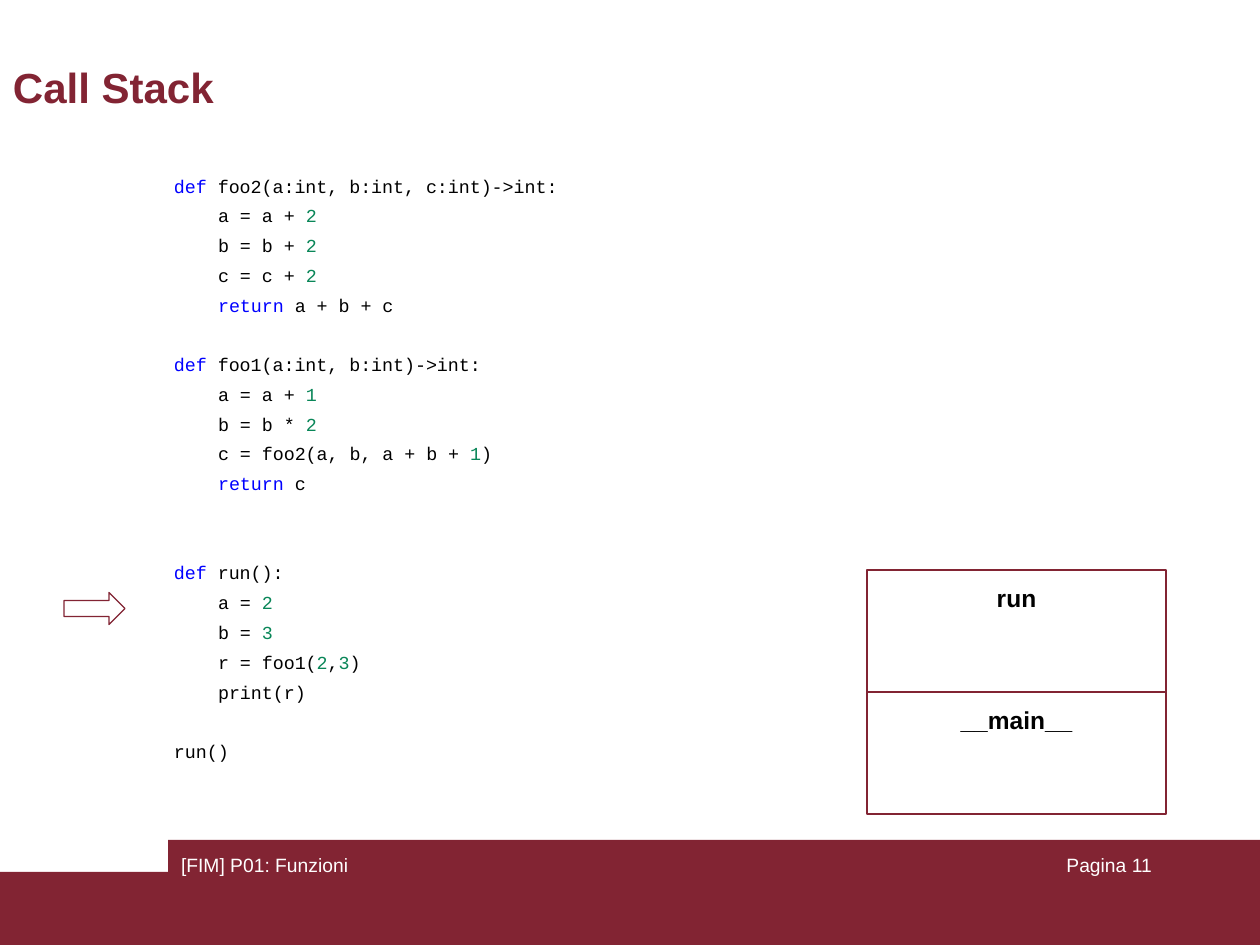
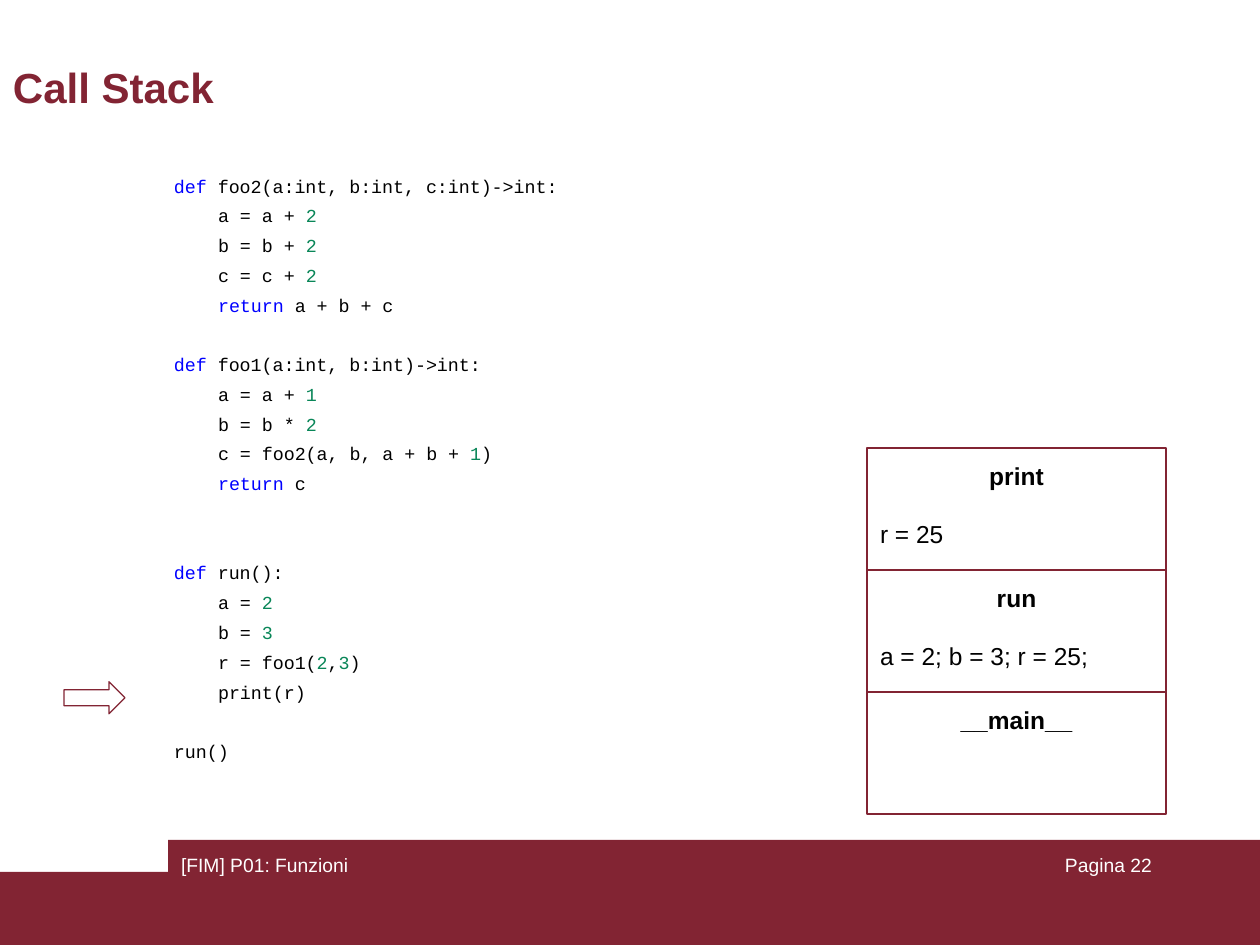
from pptx import Presentation
from pptx.dml.color import RGBColor
from pptx.enum.shapes import MSO_SHAPE
from pptx.enum.text import MSO_ANCHOR, PP_ALIGN
from pptx.util import Pt

TITLE = "Call Stack"
FOOTER = "[FIM] P01: Funzioni"
CODE = [
    "def| foo2(a:int, b:int, c:int)->int:",
    "    a = a + |2",
    "    b = b + |2",
    "    c = c + |2",
    "    return| a + b + c",
    "",
    "def| foo1(a:int, b:int)->int:",
    "    a = a + |1",
    "    b = b * |2",
    "    c = foo2(a, b, a + b + |1|)",
    "    return| c",
    "",
    "",
    "def| run():",
    "    a = |2",
    "    b = |3",
    "    r = foo1(|2|,|3|)",
    "    print(r)",
    "",
    "run()",
]
STEPS = [
    {"page": 11, "line": 14, "stack": [("__main__", ""), ("run", "")]},
    {"page": 22, "line": 17, "stack": [
        ("__main__", ""), ("run", "a = 2; b = 3; r = 25;"), ("print", "r = 25")]},
]

MAROON, WHITE, BLACK = "822433", "FFFFFF", "000000"
KEYWORD, NUMBER = "0000FF", "098658"
BANDS = [(0, 872, 1260, 73), (168, 840, 1092, 105)]
CODE_SIZE = 10.5
CODE_PITCH = Pt(17)
CODE_CHAR = Pt(CODE_SIZE * 0.6)
FRAME_LEFT, STACK_BOTTOM, FRAME_WIDTH, FRAME_HEIGHT = 867, 814, 299, 122
PADDING, TIGHT_PADDING = 13, 6


def px(length):
    return round(length * 914400 / 126)


def color(value):
    return RGBColor.from_string(value)


def style(run, size, tint, bold=False, font="Arial"):
    run.font.size = Pt(size)
    run.font.name = font
    run.font.bold = bold
    run.font.color.rgb = color(tint)


def set_margins(text_frame, vertical):
    text_frame.word_wrap = True
    text_frame.margin_left = text_frame.margin_right = px(PADDING)
    text_frame.margin_top = text_frame.margin_bottom = px(vertical)


def add_block(slide, preset, place, fill=None, line=None):
    block = slide.shapes.add_shape(preset, *map(px, place))
    block.shadow.inherit = False
    if fill:
        block.fill.solid()
        block.fill.fore_color.rgb = color(fill)
    else:
        block.fill.background()
    if line:
        block.line.color.rgb = color(line)
        block.line.width = Pt(0.75)
    else:
        block.line.fill.background()
    return block


def add_label(slide, place, words, size, tint, bold=False,
              align=PP_ALIGN.LEFT, anchor=MSO_ANCHOR.TOP):
    label = slide.shapes.add_textbox(*map(px, place)).text_frame
    set_margins(label, TIGHT_PADDING)
    label.vertical_anchor = anchor
    label.text = words
    label.paragraphs[0].alignment = align
    style(label.paragraphs[0].runs[0], size, tint, bold)


def token_color(token):
    if token.strip() in ("def", "return"):
        return KEYWORD
    return NUMBER if token.isdigit() else BLACK


def add_code(slide):
    listing = slide.shapes.add_textbox(*map(px, (161, 131, 413, 683))).text_frame
    set_margins(listing, PADDING)
    listing.margin_top = px(36)
    listing.margin_right = 0
    skipped = 0
    for row, source in enumerate(CODE):
        if not source:
            skipped += 1
            continue
        statement = listing.add_paragraph() if row else listing.paragraphs[0]
        statement.line_spacing = CODE_PITCH
        statement.space_before = skipped * CODE_PITCH
        skipped = 0
        body = source.lstrip()
        indent = (len(source) - len(body)) * CODE_CHAR
        properties = statement._p.get_or_add_pPr()
        properties.set("marL", str(indent))
        properties.set("indent", "0")
        for token in body.split("|"):
            run = statement.add_run()
            run.text = token
            style(run, CODE_SIZE, token_color(token), font="Courier New")


def add_stack(slide, stack):
    for level, (function, variables) in enumerate(stack, 1):
        top = STACK_BOTTOM - level * FRAME_HEIGHT
        frame = add_block(slide, MSO_SHAPE.RECTANGLE,
                          (FRAME_LEFT, top, FRAME_WIDTH, FRAME_HEIGHT), line=MAROON)
        content = frame.text_frame
        set_margins(content, PADDING)
        content.vertical_anchor = MSO_ANCHOR.TOP
        content.text = function
        content.paragraphs[0].alignment = PP_ALIGN.CENTER
        style(content.paragraphs[0].runs[0], 14, BLACK, bold=True)
        if variables:
            values = content.add_paragraph()
            values.text = variables
            values.alignment = PP_ALIGN.LEFT
            values.space_before = Pt(16.5)
            style(values.runs[0], 14, BLACK)


def add_step(deck, step):
    slide = deck.slides.add_slide(deck.slide_layouts[6])
    for band in BANDS:
        add_block(slide, MSO_SHAPE.RECTANGLE, band, fill=MAROON)
    add_label(slide, (903, 847, 262, 63), f"Pagina {step['page']}", 11, WHITE,
              align=PP_ALIGN.RIGHT)
    add_label(slide, (0, 52, 1042, 69), TITLE, 24, MAROON, bold=True,
              anchor=MSO_ANCHOR.MIDDLE)
    add_code(slide)
    add_stack(slide, step["stack"])
    pointer = add_block(slide, MSO_SHAPE.RIGHT_ARROW, (64, 176, 61, 32), line=MAROON)
    pointer.top += step["line"] * CODE_PITCH
    add_label(slide, (168, 847, 399, 63), FOOTER, 11, WHITE)


def main():
    deck = Presentation()
    deck.slide_width, deck.slide_height = px(1260), px(945)
    for step in STEPS:
        add_step(deck, step)
    deck.save("out.pptx")


if __name__ == "__main__":
    main()
